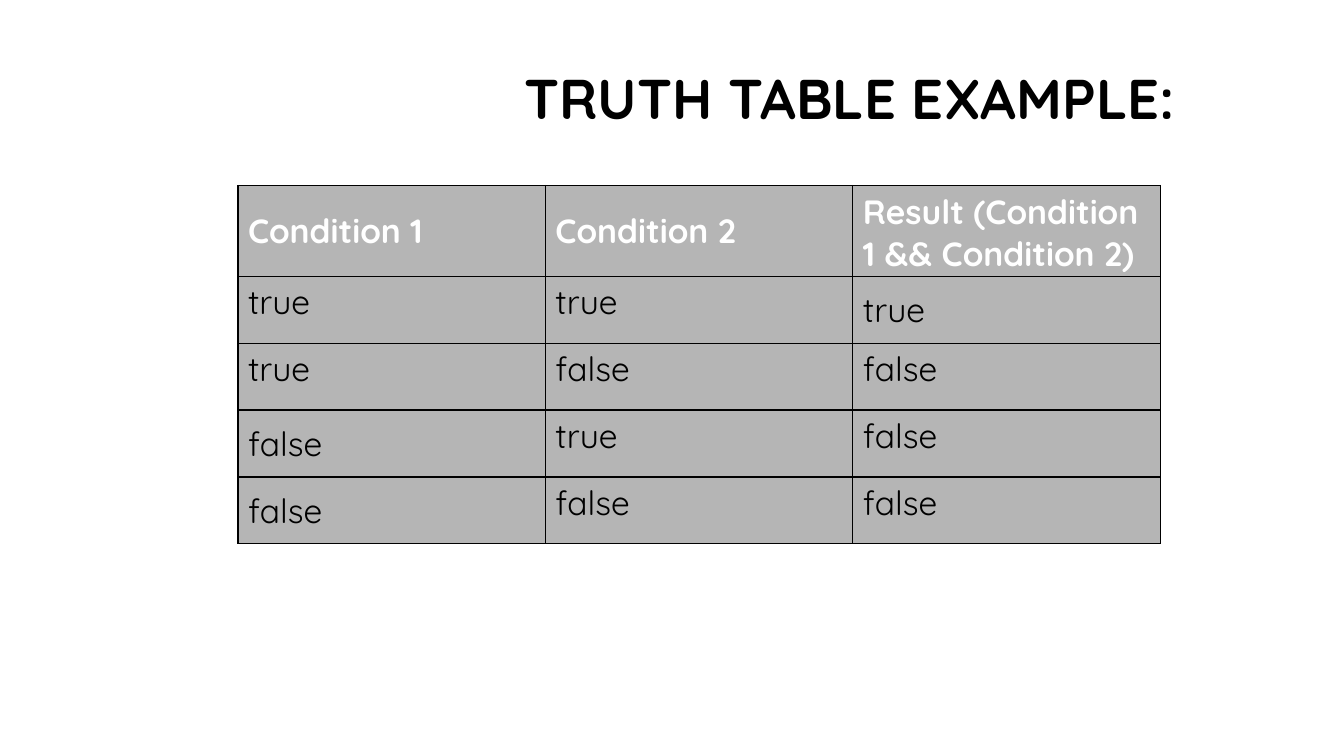
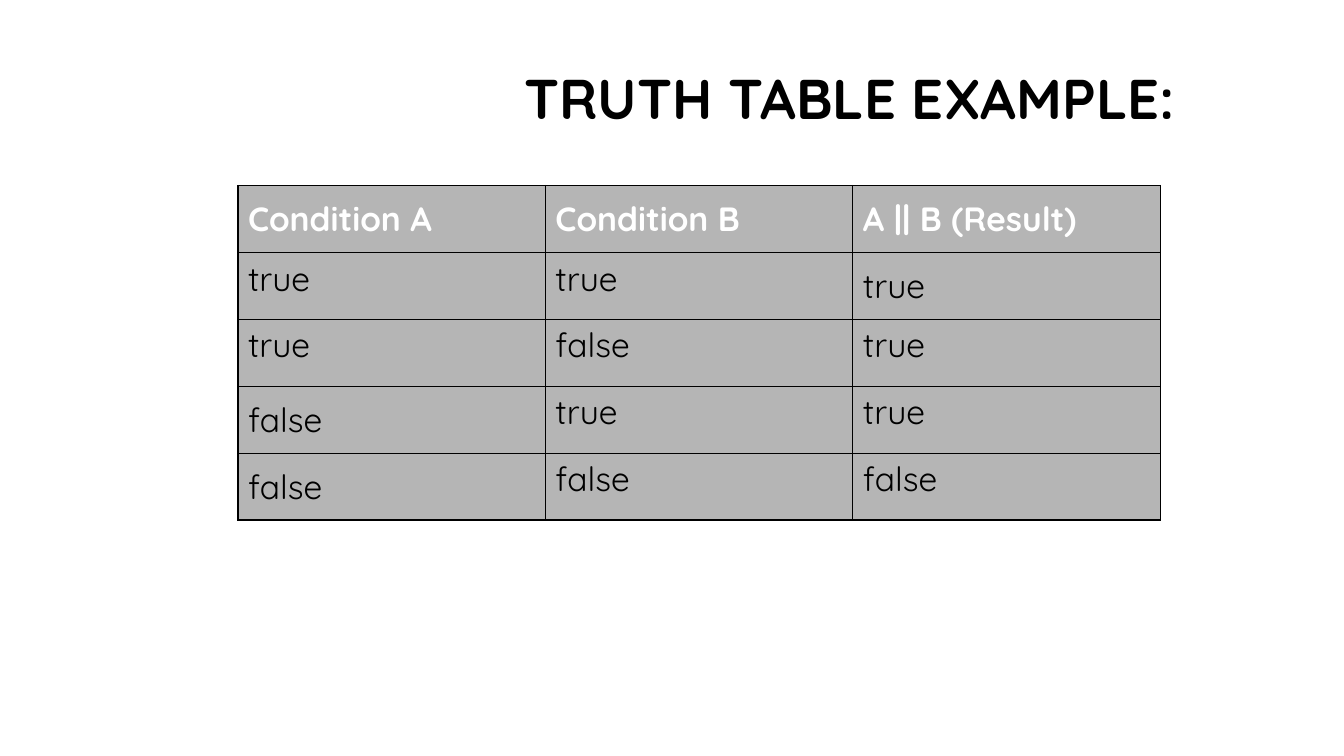
"""Build two slides with truth tables for logical AND and OR."""
from itertools import product

from lxml.etree import SubElement
from pptx import Presentation
from pptx.dml.color import RGBColor
from pptx.enum.text import MSO_ANCHOR, PP_ALIGN
from pptx.oxml.ns import qn
from pptx.util import Inches, Pt

COLORS = {"ink": "000000", "header": "FFFFFF", "cell": "B5B5B5"}
FONT = "Quicksand"
FORMATS = {
    "title": {"name": FONT, "size": Pt(40), "bold": True},
    "header": {"name": FONT, "size": Pt(24), "bold": True},
    "body": {"name": FONT, "size": Pt(24), "bold": False},
}
TITLE = "TRUTH TABLE EXAMPLE:"
TITLE_BOX = (1.12, 0.64, 10.63, 1.4)
TABLE_ORIGIN = (2.36, 1.84)
COLUMN_WIDTH = 3.05
ROW_HEIGHT = 3.32 / 5
MIDDLE_CELLS = {(1, 2), (3, 0), (4, 0)}
TABLES = [
    (["Condition 1", "Condition 2", "Result (Condition 1 && Condition 2)"],
     ["true", "false", "false", "false"]),
    (["Condition A", "Condition B", "A || B (Result)"],
     ["true", "true", "true", "false"]),
]


def write_text(frame, text, style, color):
    """Write one formatted paragraph and return it."""
    paragraph = frame.paragraphs[0]
    run = paragraph.add_run()
    run.text = text
    for name, value in FORMATS[style].items():
        setattr(run.font, name, value)
    run.font.color.rgb = RGBColor.from_string(COLORS[color])
    return paragraph


def add_title(slide):
    """Add the right-aligned title."""
    frame = slide.shapes.add_textbox(*map(Inches, TITLE_BOX)).text_frame
    layout = {"word_wrap": True, "vertical_anchor": MSO_ANCHOR.TOP,
              "margin_top": Inches(0.07)}
    for name, value in layout.items():
        setattr(frame, name, value)
    paragraph = write_text(frame, TITLE, "title", "ink")
    paragraph.alignment = PP_ALIGN.RIGHT
    paragraph.line_spacing = 0.9


def add_borders(cell):
    """Draw a thin line on all four sides of a cell."""
    properties = cell._tc.get_or_add_tcPr()
    for side in ("lnL", "lnR", "lnT", "lnB"):
        line = SubElement(properties, qn(f"a:{side}"), w=str(Pt(1)))
        fill = SubElement(line, qn("a:solidFill"))
        SubElement(fill, qn("a:srgbClr"), val=COLORS["ink"])


def format_cell(cell, text, is_header, is_middle):
    """Fill, outline and label one cell."""
    add_borders(cell)
    cell.fill.solid()
    cell.fill.fore_color.rgb = RGBColor.from_string(COLORS["cell"])
    cell.vertical_anchor = MSO_ANCHOR.MIDDLE if is_middle else MSO_ANCHOR.TOP
    style, color = ("header", "header") if is_header else ("body", "ink")
    write_text(cell.text_frame, text, style, color)


def add_truth_table(slide, headers, results):
    """Add a table of all input pairs and their results."""
    inputs = product(["true", "false"], repeat=2)
    rows = [headers] + [[*pair, result] for pair, result in zip(inputs, results)]
    size = (COLUMN_WIDTH * len(headers), ROW_HEIGHT * len(rows))
    table = slide.shapes.add_table(
        len(rows), len(headers), *map(Inches, TABLE_ORIGIN + size)).table
    table.horz_banding = False
    for row_index, row in enumerate(rows):
        for column_index, text in enumerate(row):
            is_header = row_index == 0
            is_middle = is_header or (row_index, column_index) in MIDDLE_CELLS
            format_cell(table.cell(row_index, column_index), text,
                        is_header, is_middle)


def main():
    """Build and save the presentation."""
    presentation = Presentation()
    presentation.slide_width = Inches(13.33)
    presentation.slide_height = Inches(7.5)
    for headers, results in TABLES:
        slide = presentation.slides.add_slide(presentation.slide_layouts[6])
        add_title(slide)
        add_truth_table(slide, headers, results)
    presentation.save("out.pptx")


if __name__ == "__main__":
    main()
